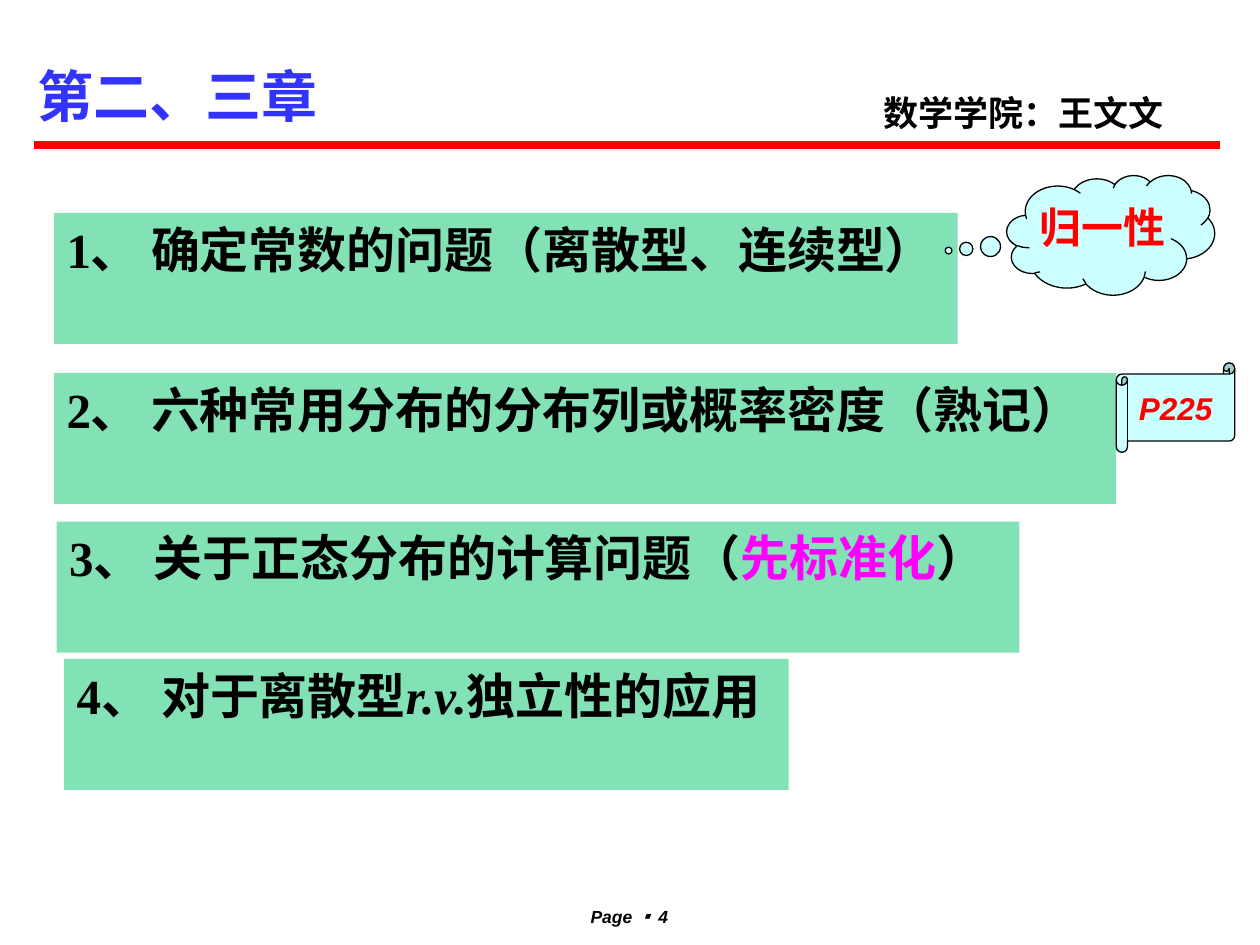
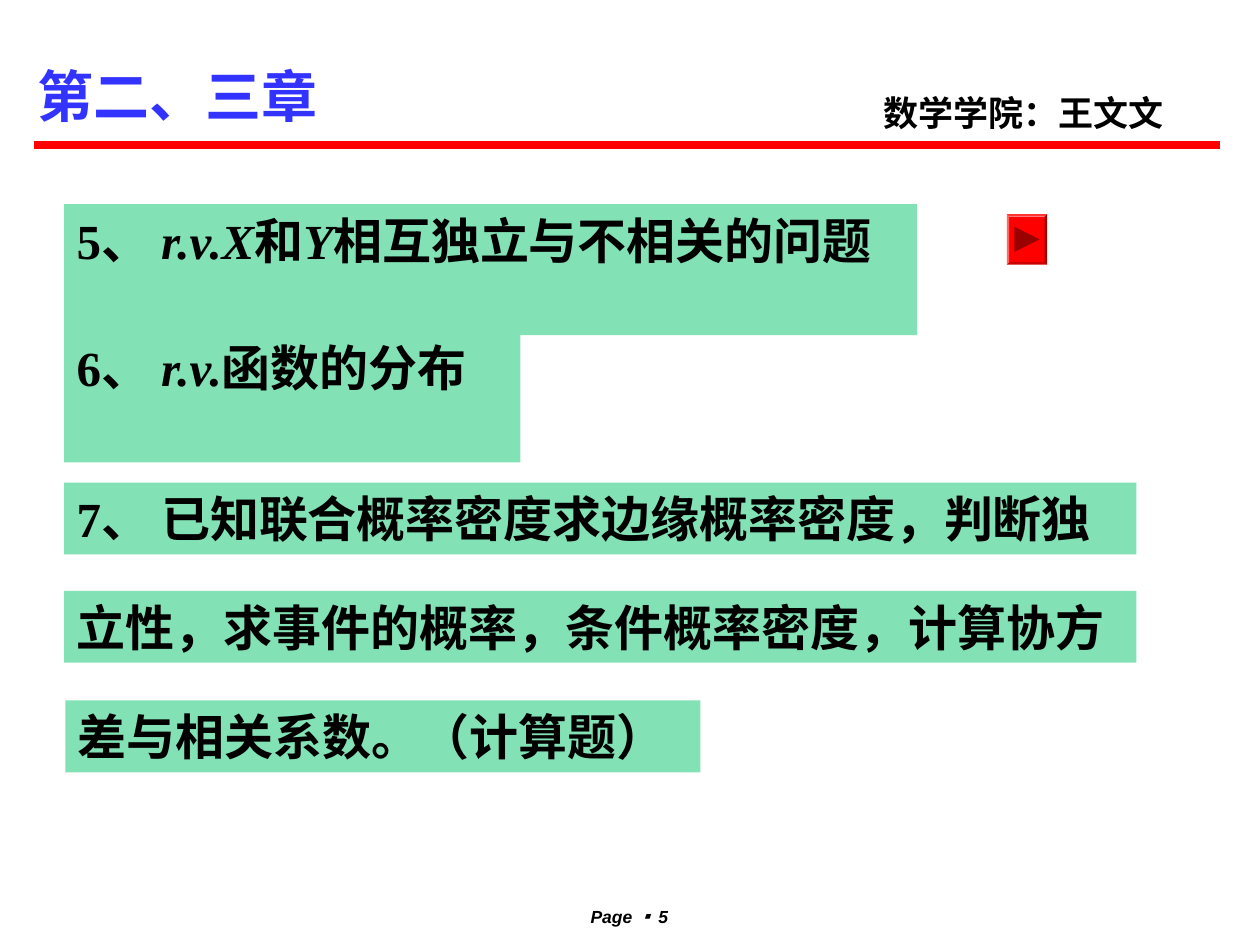
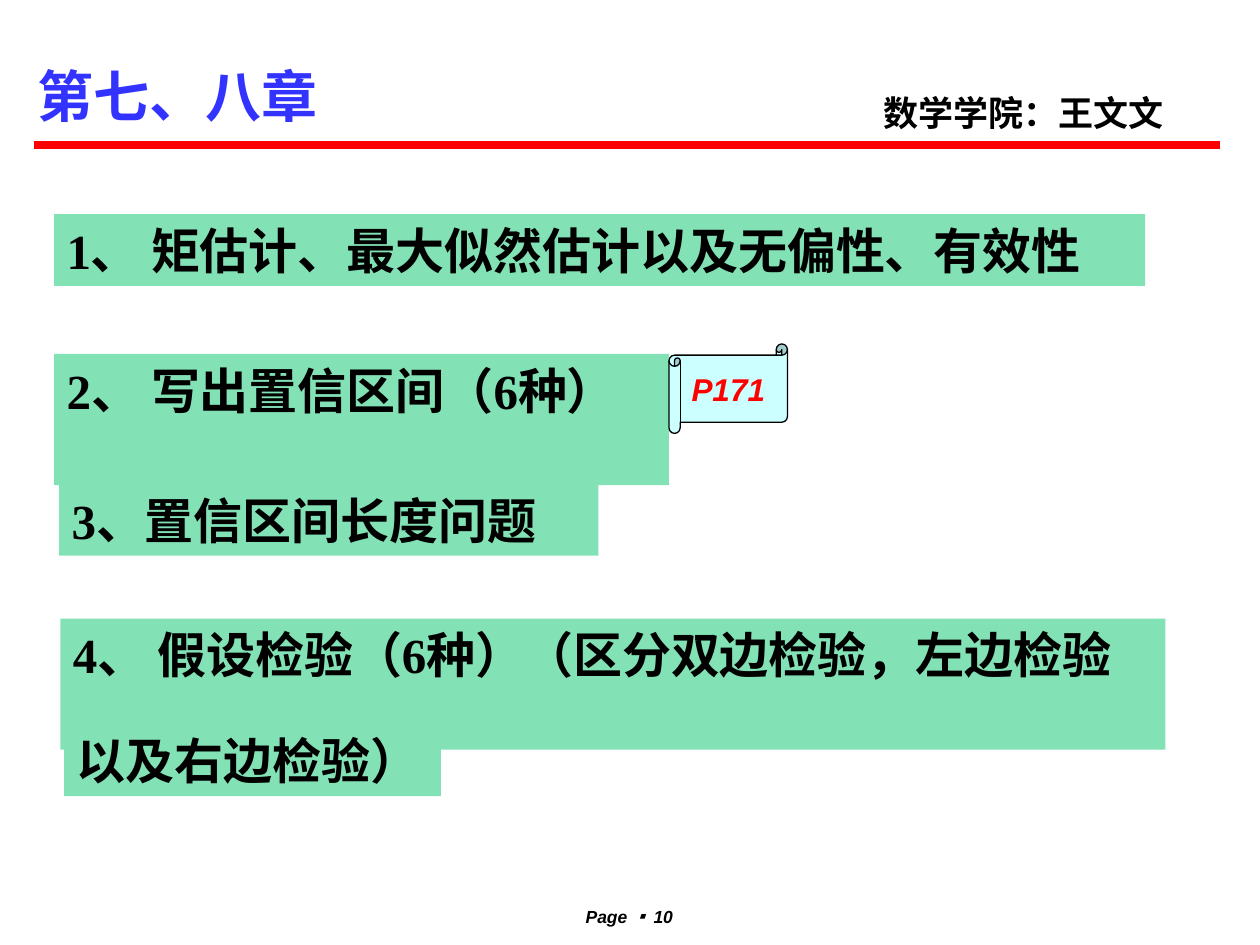
import dataclasses

import lxml.etree
import pptx
import pptx.dml.color
import pptx.enum.shapes
import pptx.enum.text
import pptx.oxml.ns
import pptx.util

Inches = pptx.util.Inches
Pt = pptx.util.Pt
Kind = pptx.enum.shapes.MSO_SHAPE
Align = pptx.enum.text.PP_ALIGN
qn = pptx.oxml.ns.qn


@dataclasses.dataclass(frozen=True)
class Theme:
    blue: str = "3333FF"
    red: str = "FF0000"
    dark: str = "990000"
    green: str = "83E1B6"
    pale: str = "CCFFFF"
    pink: str = "FF00FF"
    black: str = "000000"
    sans: str = "Arial"
    serif: str = "Times New Roman"
    han: str = "Noto Sans CJK SC"
    mark: str = "Noto Sans CJK JP"
    title: int = 32
    body: int = 28
    cloud: int = 24
    name: int = 20
    note: int = 18
    foot: int = 10
    rule: float = 4.5
    edge: float = 0.75


THEME = Theme()
SANS = {"face": THEME.sans}
SLANT = {"italic": True}
PINK = {"face": THEME.sans, "color": THEME.pink}
MARK = {"face": THEME.mark, "han": THEME.mark}


def rgb(code):
    return pptx.dml.color.RGBColor.from_string(code)


def style(run, size, face=THEME.sans, han=THEME.han, color=THEME.black, italic=False):
    font = run.font
    font.size = Pt(size)
    font.name = face
    font.bold = True
    font.italic = italic
    font.color.rgb = rgb(color)
    latin = font._element.find(qn("a:latin"))
    east = lxml.etree.Element(qn("a:ea"), typeface=han)
    latin.addnext(east)


def write(shape, text, align=Align.LEFT, **form):
    frame = shape.text_frame
    frame.word_wrap = True
    frame.vertical_anchor = pptx.enum.text.MSO_ANCHOR.TOP
    para = frame.paragraphs[0]
    para.alignment = align
    runs = [(text, {})] if isinstance(text, str) else text
    for part, extra in runs:
        run = para.add_run()
        run.text = part
        style(run, **{**form, **extra})


def label(shapes, box, text, **form):
    shape = shapes.add_textbox(*map(Inches, box))
    write(shape, text, **form)


def draw(shapes, kind, box, fill, line=None):
    shape = shapes.add_shape(kind, *map(Inches, box))
    shape.shadow.inherit = False
    shape.fill.solid()
    shape.fill.fore_color.rgb = rgb(fill)
    if line:
        shape.line.color.rgb = rgb(line)
        shape.line.width = Pt(THEME.edge)
    else:
        shape.line.fill.background()
    return shape


def header(slide, box, title):
    left, top, width, height = box
    label(slide.shapes, (left - 0.07, top, 3, 0.64), title,
          size=THEME.title, face=THEME.han, color=THEME.blue)
    label(slide.shapes, (left + 6.64, top + 0.24, 2.81, 0.44), "数学学院：王文文",
          size=THEME.name)
    ends = (left, top + height, left + width, top + height)
    rule = slide.shapes.add_connector(
        pptx.enum.shapes.MSO_CONNECTOR.STRAIGHT, *map(Inches, ends))
    rule.line.color.rgb = rgb(THEME.red)
    rule.line.width = Pt(THEME.rule)
    lxml.etree.SubElement(rule._element.spPr, qn("a:effectLst"))


def footer(slide, box, page):
    runs = [("Page ", {}), ("▪ ", MARK), (str(page), {})]
    label(slide.shapes, box, runs, align=Align.CENTER, size=THEME.foot, italic=True)


def topic(slide, box, text):
    bar = draw(slide.shapes, Kind.RECTANGLE, box, THEME.green)
    write(bar, text, size=THEME.body, face=THEME.serif)


def scroll(slide, box, text):
    left, top, width, height = box
    group = slide.shapes.add_group_shape()
    draw(group.shapes, Kind.HORIZONTAL_SCROLL, box, THEME.pale, THEME.black)
    label(group.shapes, (left + 0.08, top + 0.16, width, 0.4), text,
          size=THEME.note, color=THEME.red, italic=True)


def cloud(slide, box, text):
    left, top, width, height = box
    shape = draw(slide.shapes, Kind.CLOUD_CALLOUT, box, THEME.pale, THEME.black)
    shape.adjustments[0] = -0.78
    shape.adjustments[1] = 0.13
    label(slide.shapes, (left + 0.16, top + 0.16, width - 0.23, 0.5), text,
          size=THEME.cloud, color=THEME.red)


def button(slide, box):
    left, top, width, height = box
    key = draw(slide.shapes, Kind.BEVEL, box, THEME.red)
    key.adjustments[0] = 0.06
    size = 0.2
    spot = (left + (width - size) / 2, top + (height - size) / 2, size, size)
    arrow = draw(slide.shapes, Kind.ISOSCELES_TRIANGLE, spot, THEME.dark)
    arrow.rotation = 90


def page(deck, title, number, topics):
    slide = deck.slides.add_slide(deck.slide_layouts[6])
    footer(slide, (4.21, 7.14, 1.57, 0.22), number)
    header(slide, (0.27, 0.44, 9.41, 0.71), title)
    for box, text in topics:
        topic(slide, box, text)
    return slide


def main():
    deck = pptx.Presentation()
    deck.slide_width = Inches(10)
    deck.slide_height = Inches(7.5)
    tall, low = 1.04, 0.57

    slide = page(deck, "第二、三章", 4, [
        ((0.43, 1.69, 7.17, tall),
         [("1、 ", {}), ("确定常数的问题（离散型、连续型）", SANS)]),
        ((0.43, 2.96, 8.43, tall),
         [("2、 ", {}), ("六种常用分布的分布列或概率密度（熟记）", SANS)]),
        ((0.45, 4.14, 7.64, tall),
         [("3、 ", {}), ("关于正态分布的计算问题（", SANS),
          ("先标准化", PINK), ("）", SANS)]),
        ((0.51, 5.23, 5.75, tall),
         [("4、 ", {}), ("对于离散型", SANS), ("r.v.", SLANT), ("独立性的应用", {})]),
    ])
    scroll(slide, (8.86, 2.88, 0.94, 0.71), "P225")
    cloud(slide, (7.99, 1.39, 1.65, 0.95), "归一性")

    slide = page(deck, "第二、三章", 5, [
        ((0.51, 1.62, 6.77, tall),
         [("5、 ", {}), ("r.v.X", SLANT), ("和", {}), ("Y", SLANT),
          ("相互独立与不相关的问题", {})]),
        ((0.51, 2.63, 3.62, tall),
         [("6、 ", {}), ("r.v.", SLANT), ("函数的分布", SANS)]),
        ((0.51, 3.83, 8.51, low), "7、 已知联合概率密度求边缘概率密度，判断独"),
        ((0.51, 4.69, 8.51, low), "立性，求事件的概率，条件概率密度，计算协方"),
        ((0.52, 5.56, 5.04, low), "差与相关系数。（计算题）"),
    ])
    button(slide, (7.99, 1.7, 0.32, 0.4))

    slide = page(deck, "第七、八章", 10, [
        ((0.43, 1.7, 8.66, low),
         [("1、 ", {}), ("矩估计、最大似然估计以及无偏性、有效性", SANS)]),
        ((0.43, 2.81, 4.88, tall),
         [("2、 ", {}), ("写出置信区间（", SANS), ("6", {}), ("种）", SANS)]),
        ((0.47, 3.84, 4.28, low), [("3、", {}), ("置信区间长度问题", SANS)]),
        ((0.48, 4.91, 8.77, tall),
         [("4、 ", {}), ("假设检验（", SANS), ("6", {}),
          ("种）（区分双边检验，左边检验", SANS)]),
        ((0.51, 5.75, 2.99, low), [("以及右边检验）", SANS)]),
    ])
    scroll(slide, (5.31, 2.73, 0.94, 0.71), "P171")

    deck.save("out.pptx")


if __name__ == "__main__":
    main()
